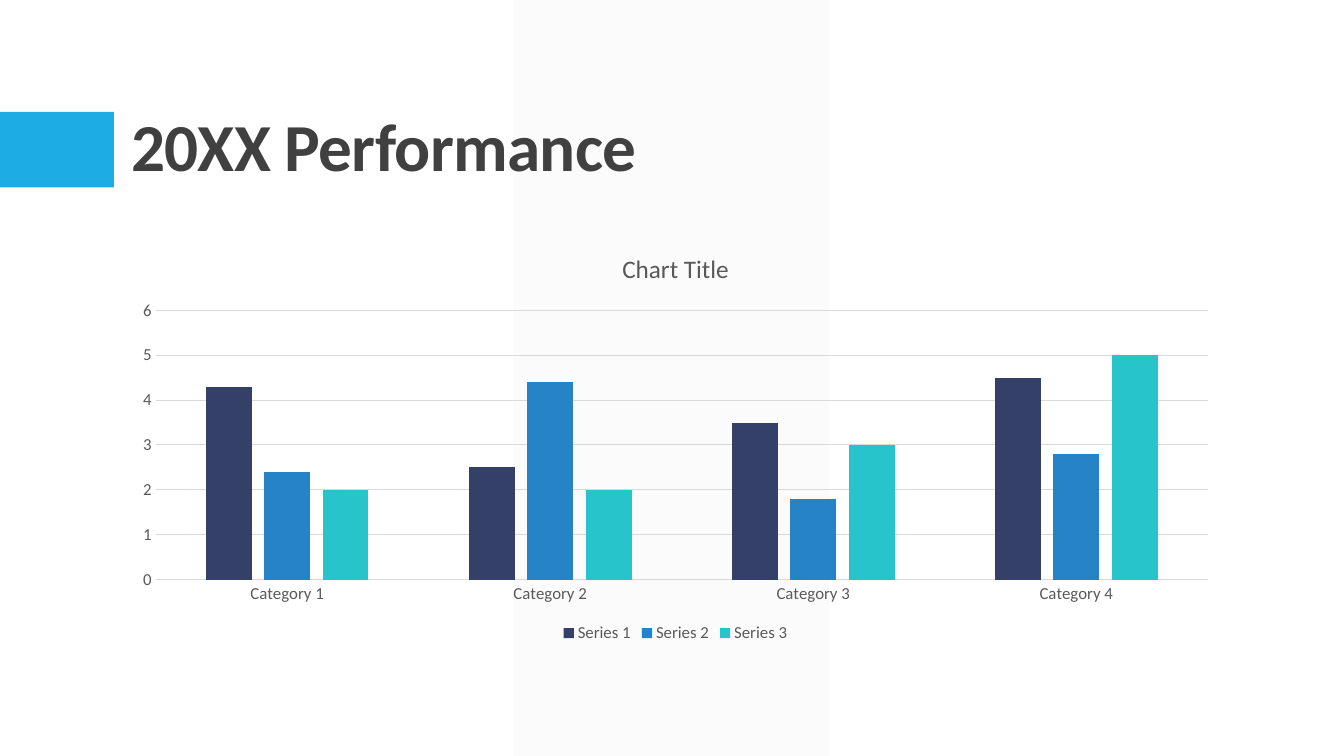
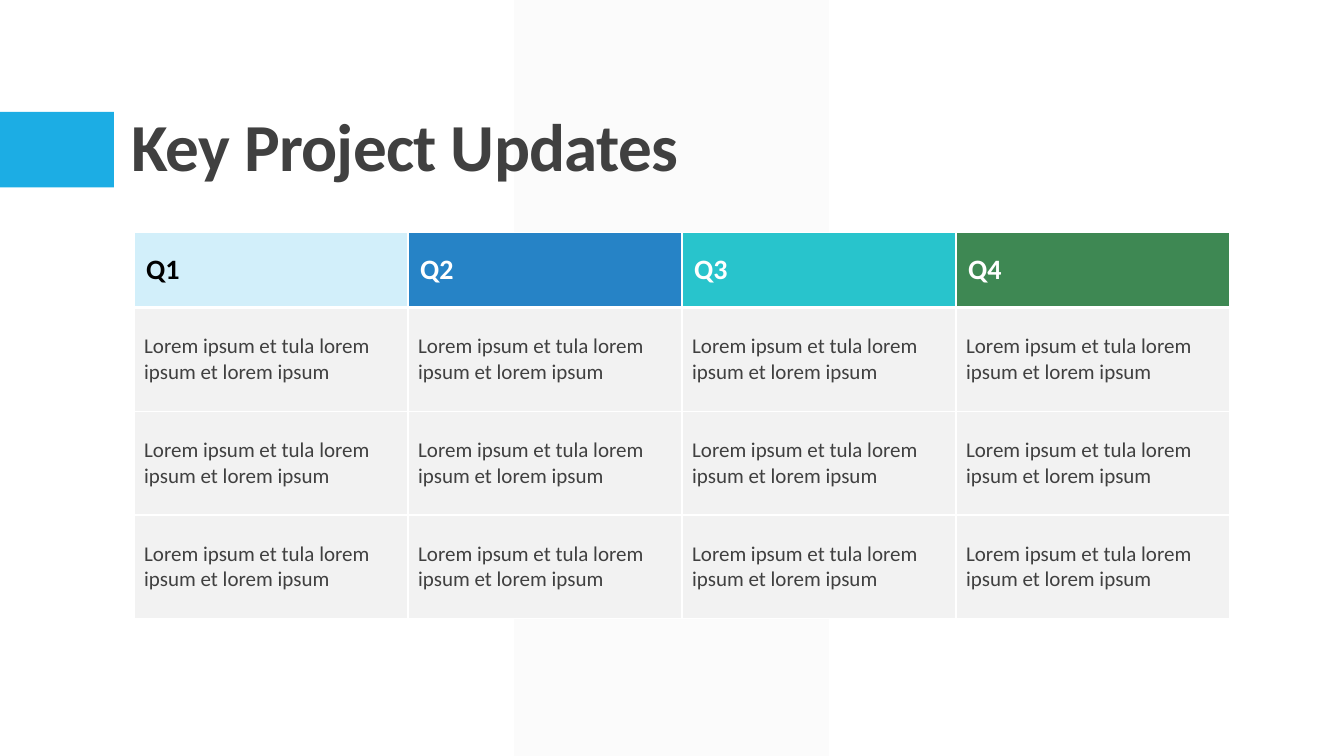
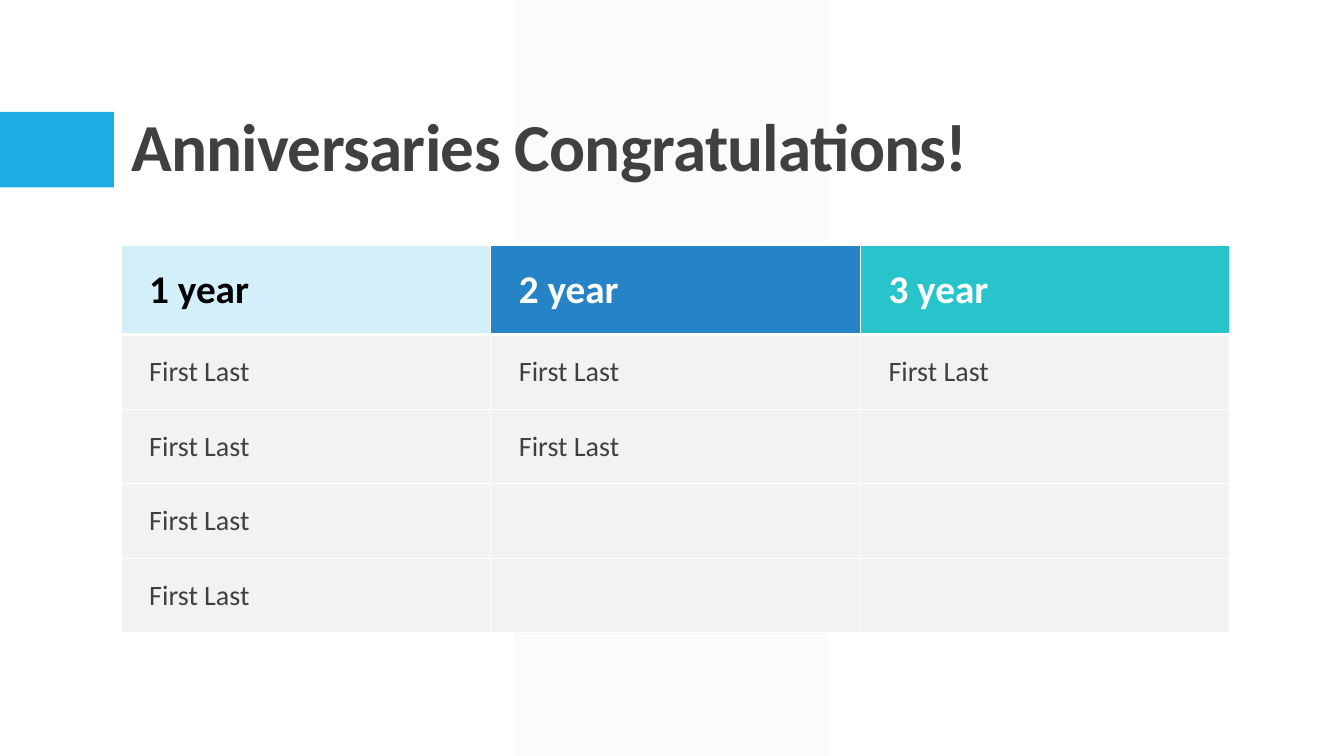
"""Build a three-slide team update with a chart and two tables."""
from dataclasses import dataclass

from pptx import Presentation
from pptx.chart.data import CategoryChartData as ChartData
from pptx.dml.color import RGBColor as Rgb
from pptx.enum.chart import XL_CHART_TYPE as Kind
from pptx.enum.chart import XL_LEGEND_POSITION as Spot
from pptx.enum.chart import XL_TICK_MARK as Tick
from pptx.enum.shapes import MSO_SHAPE as Form
from pptx.enum.text import MSO_ANCHOR as Anchor
from pptx.enum.text import MSO_AUTO_SIZE as Fit
from pptx.enum.text import PP_ALIGN as Align
from pptx.oxml import parse_xml
from pptx.oxml.ns import nsdecls
from pptx.util import Inches, Pt


@dataclass(frozen=True)
class Theme:
    face: str = "Calibri"
    white: str = "FFFFFF"
    black: str = "000000"
    ink: str = "404040"
    gray: str = "595959"
    rule: str = "D9D9D9"
    pale: str = "F2F2F2"
    sky: str = "1CADE4"
    ice: str = "D2EFFA"
    navy: str = "344068"
    blue: str = "2683C6"
    teal: str = "28C4CC"
    green: str = "3E8853"
    title: int = 48
    chart: int = 18
    label: int = 12


@dataclass(frozen=True)
class Grid:
    head: float
    row: float
    big: int
    small: int
    pad: tuple
    inset: tuple


T = Theme()


def style(font, size, color, bold=False):
    font.name, font.size, font.bold = T.face, Pt(size), bold
    font.color.rgb = Rgb.from_string(color)


def paint(fill, color):
    fill.solid()
    fill.fore_color.rgb = Rgb.from_string(color)


def panel(slide, form, box, color):
    shape = slide.shapes.add_shape(form, *map(Inches, box))
    shape.shadow.inherit = False
    paint(shape.fill, color)
    shape.line.fill.background()
    return shape


def dress(slide):
    layout = slide.slide_layout
    for holder in list(layout.placeholders)[1:]:
        holder.element.getparent().remove(holder.element)
    band = panel(slide, Form.PARALLELOGRAM, (5.1, 0, 3.12, 7.5), T.pale)
    band.adjustments[0] = 0
    tint = band.element.spPr.find(".//{*}srgbClr")
    tint.append(parse_xml(f'<a:alpha {nsdecls("a")} val="30000"/>'))
    block = panel(slide, Form.RECTANGLE, (0, 1.11, 1.13, 0.75), T.sky)
    for spot, shape in enumerate((band, block), 2):
        layout.shapes.element.insert(spot, shape.element)


def head(slide, text):
    title = slide.shapes.title
    title.left, title.top = Inches(1.2), Inches(0.31)
    title.width, title.height = Inches(11), Inches(1.59)
    frame = title.text_frame
    frame.text, frame.word_wrap = text, True
    frame.auto_size, frame.vertical_anchor = Fit.NONE, Anchor.BOTTOM
    para = frame.paragraphs[0]
    para.alignment, para.line_spacing = Align.LEFT, 0.9
    style(para.font, T.title, T.ink, True)
    para.runs[0]._r.get_or_add_rPr().set("spc", "-50")


def stroke(line, color):
    line.width = Pt(0.75)
    line.color.rgb = Rgb.from_string(color)


def bars(slide, box, name, cats, rows):
    data = ChartData()
    data.categories = cats
    for label, vals, _ in rows:
        data.add_series(label, vals)
    chart = slide.shapes.add_chart(
        Kind.COLUMN_CLUSTERED, *map(Inches, box), data).chart
    style(chart.font, T.label, T.gray)
    frame = chart.chart_title.text_frame
    frame.text = name
    style(frame.paragraphs[0].font, T.chart, T.gray)
    chart.has_legend = True
    chart.legend.position = Spot.BOTTOM
    chart.legend.include_in_layout = False
    plot = chart.plots[0]
    plot.gap_width, plot.overlap, plot.vary_by_categories = 219, -27, False
    for item, (_, _, color) in zip(plot.series, rows):
        paint(item.format.fill, color)
    for axis in (chart.category_axis, chart.value_axis):
        axis.major_tick_mark = axis.minor_tick_mark = Tick.NONE
    stroke(chart.category_axis.format.line, T.rule)
    scale = chart.value_axis
    scale.minimum_scale, scale.maximum_scale, scale.major_unit = 0, 6, 1
    scale.format.line.fill.background()
    stroke(scale.major_gridlines.format.line, T.rule)


def edge(cell, side, width):
    cell._tc.get_or_add_tcPr().append(parse_xml(
        f'<a:ln{side} {nsdecls("a")} w="{Pt(width)}"><a:solidFill>'
        f'<a:srgbClr val="{T.white}"/></a:solidFill></a:ln{side}>'))


def write(cell, text, size, color, bold, pad):
    cell.vertical_anchor = Anchor.MIDDLE
    cell.margin_left = cell.margin_right = Inches(pad[0])
    cell.margin_top = cell.margin_bottom = Inches(pad[1])
    if text:
        cell.text = text
        style(cell.text_frame.paragraphs[0].font, size, color, bold)


def table(slide, spot, width, rows, fills, grid):
    tall = grid.head + grid.row * (len(rows) - 1)
    body = slide.shapes.add_table(
        len(rows), len(fills), *map(Inches, (*spot, width, tall))).table
    body.horz_banding = False
    for col in body.columns:
        col.width = Inches(width / len(fills))
    for r, texts in enumerate(rows):
        top = r == 0
        body.rows[r].height = Inches(grid.head if top else grid.row)
        for c, text in enumerate(texts):
            cell = body.cell(r, c)
            for side in "LRTB" if top else "LRB":
                edge(cell, side, 3 if top and side == "B" else 1)
            paint(cell.fill, fills[c] if top else T.pale)
            if top:
                color = T.white if c else T.black
                write(cell, text, grid.big, color, True, grid.pad)
            else:
                write(cell, text, grid.small, T.ink, False, grid.inset)


def main():
    deck = Presentation()
    deck.slide_width, deck.slide_height = Inches(13.33), Inches(7.5)
    names = ("20XX Performance", "Key Project Updates",
             "Anniversaries Congratulations!")
    slides = [deck.slides.add_slide(deck.slide_layouts[5]) for _ in names]
    dress(slides[0])
    for slide, name in zip(slides, names):
        head(slide, name)
    sales, plans, years = slides

    bars(sales, (1.2, 2.31, 11, 4.11), "Chart Title",
         [f"Category {n}" for n in range(1, 5)],
         [("Series 1", (4.3, 2.5, 3.5, 4.5), T.navy),
          ("Series 2", (2.4, 4.4, 1.8, 2.8), T.blue),
          ("Series 3", (2, 2, 3, 5), T.teal)])

    fills = (T.ice, T.blue, T.teal, T.green)
    lorem = "Lorem ipsum et tula lorem ipsum et lorem ipsum"
    table(plans, (1.33, 2.31), 10.87,
          [("Q1", "Q2", "Q3", "Q4")] + [(lorem,) * 4] * 3, fills,
          Grid(0.74, 1.03, 20, 15, (0.12, 0.06), (0.1, 0.05)))

    staff = "First Last"
    table(years, (1.2, 2.43), 11,
          [("1 year", "2 year", "3 year"), (staff, staff, staff),
           (staff, staff, ""), (staff, "", ""), (staff, "", "")], fills[:3],
          Grid(0.89, 0.74, 28, 20, (0.28, 0.08), (0.28, 0.08)))
    deck.save("out.pptx")


if __name__ == "__main__":
    main()
